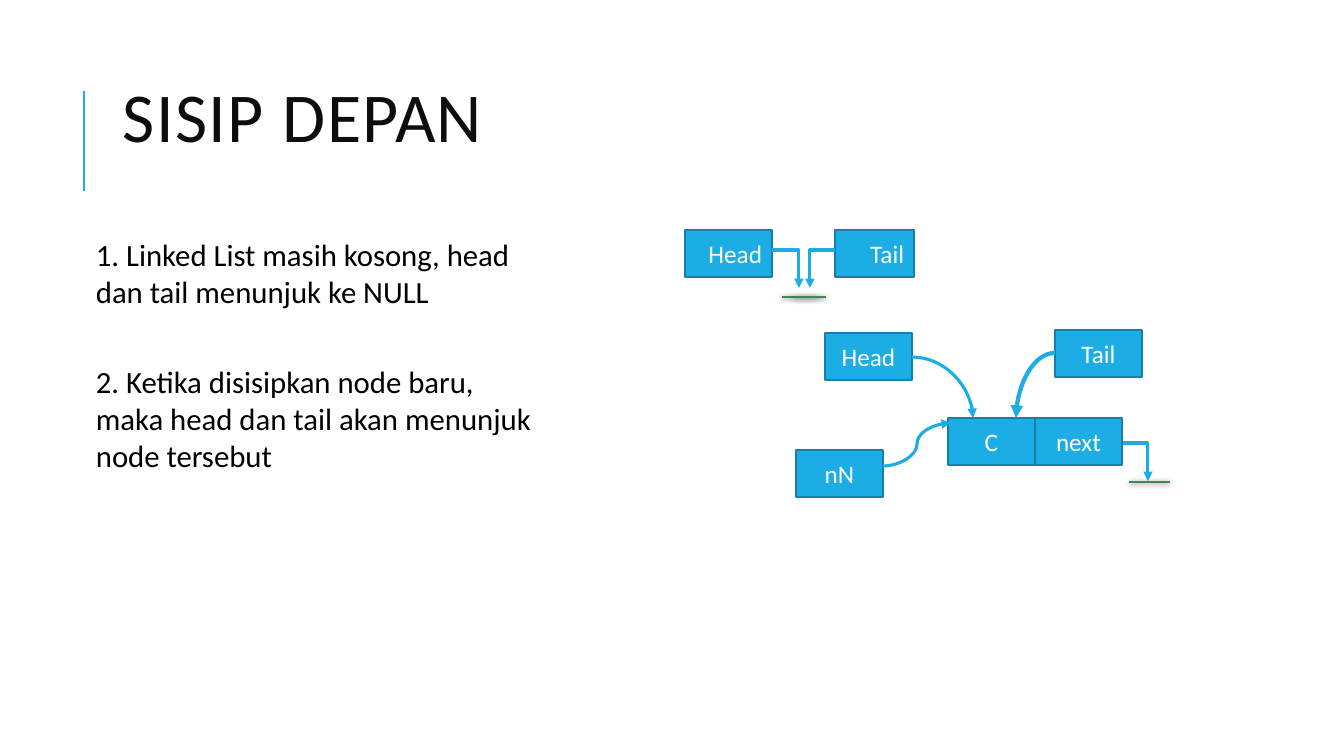
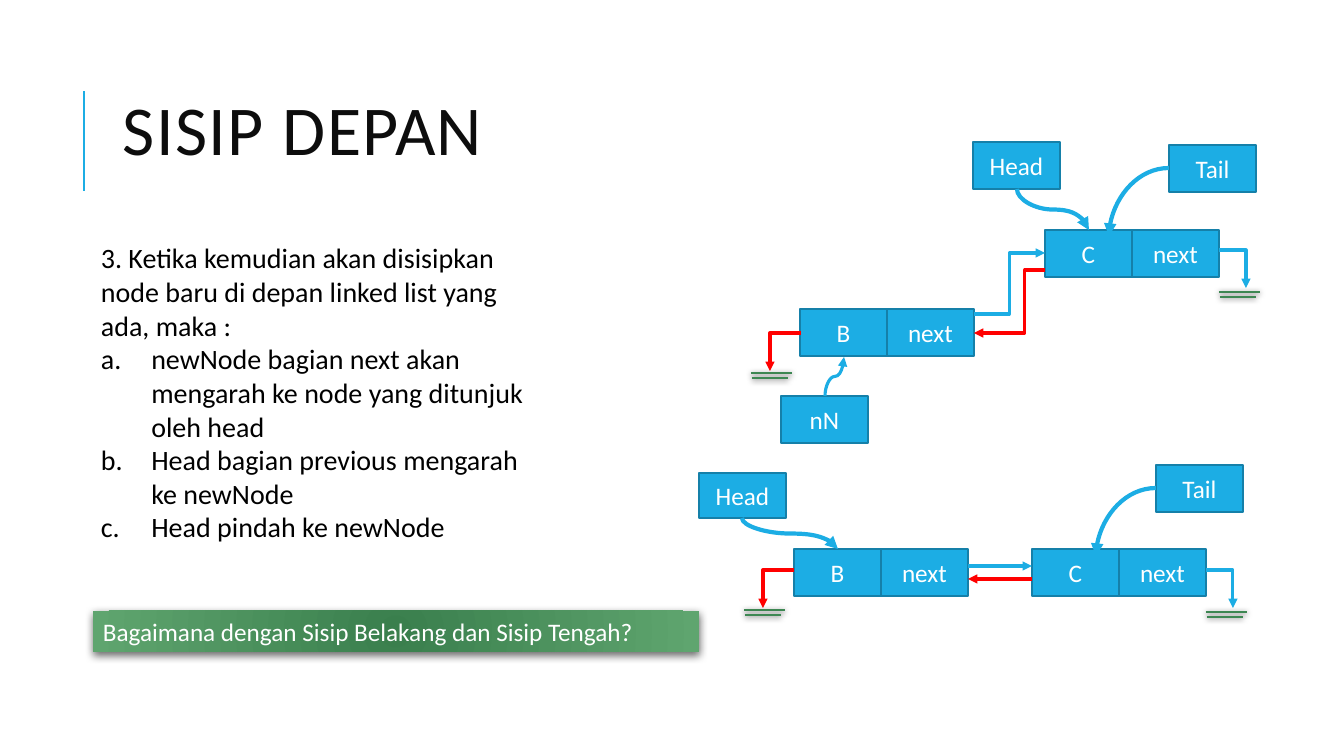
"""Build two slides that explain inserting a node at the front of a linked list."""
import lxml.etree
import pptx
import pptx.dml.color
import pptx.enum.shapes
import pptx.enum.text
import pptx.oxml.ns
import pptx.util

PIXEL = 914400 / 100.8
FONT = "Calibri"
BLUE = pptx.dml.color.RGBColor(0x1C, 0xAD, 0xE4)
EDGE = pptx.dml.color.RGBColor(0x15, 0x80, 0xA9)
RED = pptx.dml.color.RGBColor(0xFF, 0x00, 0x00)
GREEN = pptx.dml.color.RGBColor(0x3E, 0x88, 0x53)
DARK_GREEN = pptx.dml.color.RGBColor(0x3A, 0x7F, 0x4D)
LIGHT_GREEN = pptx.dml.color.RGBColor(0x5F, 0xA5, 0x6F)
INK = pptx.dml.color.RGBColor(0x0D, 0x0D, 0x0D)
BLACK = pptx.dml.color.RGBColor(0x00, 0x00, 0x00)
WHITE = pptx.dml.color.RGBColor(0xFF, 0xFF, 0xFF)
ALIGN = pptx.enum.text.PP_ALIGN
ANCHOR = pptx.enum.text.MSO_ANCHOR
RECTANGLE = pptx.enum.shapes.MSO_SHAPE.RECTANGLE
STRAIGHT = pptx.enum.shapes.MSO_CONNECTOR.STRAIGHT
NODE_WIDTH, NODE_HEIGHT = 87, 47


def px(*lengths):
    """Turn pixel lengths into EMU."""
    return [pptx.util.Emu(round(length * PIXEL)) for length in lengths]


def add_child(parent, tag, **attributes):
    """Append an XML child with the given attributes."""
    child = lxml.etree.SubElement(parent, pptx.oxml.ns.qn(tag))
    for name, value in attributes.items():
        child.set(name, str(value))
    return child


def add_shadow(effects, opacity, blur, distance):
    """Add a black shadow that falls straight down, sized in points."""
    shadow = add_child(effects, "a:outerShdw", blurRad=pptx.util.Pt(blur),
                       dist=pptx.util.Pt(distance), dir=5400000, rotWithShape=0)
    color = add_child(shadow, "a:srgbClr", val=BLACK)
    add_child(color, "a:alpha", val=opacity * 1000)


def set_font(para, size, color):
    """Set the font of one paragraph."""
    para.font.name = FONT
    para.font.size = pptx.util.Pt(size)
    para.font.color.rgb = color


def add_text(page, area, lines, size, color=BLACK):
    """Add a wrapping text box with one paragraph per line."""
    frame = page.shapes.add_textbox(*px(*area)).text_frame
    frame.word_wrap = True
    frame.text = "\n".join(lines)
    for para in frame.paragraphs:
        set_font(para, size, color)
    return frame


def add_line(page, start, end, color, width, preset="line", turned=False):
    """Add a connector; a turned one leaves its start vertically."""
    if turned:
        middle_x, middle_y = (start[0] + end[0]) / 2, (start[1] + end[1]) / 2
        start, end = [(middle_x + y - middle_y, middle_y - x + middle_x)
                      for x, y in (start, end)]
    line = page.shapes.add_connector(STRAIGHT, *px(*start, *end))
    line.line.color.rgb = color
    line.line.width = pptx.util.Pt(width)
    properties = line._element.spPr
    properties.find(pptx.oxml.ns.qn("a:prstGeom")).set("prst", preset)
    if turned:
        properties.find(pptx.oxml.ns.qn("a:xfrm")).set("rot", "5400000")
    return line, add_child(properties, "a:effectLst")


def add_arrow(page, start, end, preset="line", color=BLUE, width=2.25,
              turned=False, bend=None):
    """Add a connector with an arrowhead at its end."""
    arrow, _ = add_line(page, start, end, color, width, preset, turned)
    add_child(arrow.line._get_or_add_ln(), "a:tailEnd", type="triangle")
    if bend is not None:
        geometry = arrow._element.spPr.find(pptx.oxml.ns.qn("a:prstGeom"))
        guides = geometry.find(pptx.oxml.ns.qn("a:avLst"))
        add_child(guides, "a:gd", name="adj1", fmla=f"val {bend}")


def add_null_arrow(page, x, y, run, color=BLUE):
    """Add an elbow arrow that runs sideways and then drops to NULL."""
    add_arrow(page, (x, y), (x + run, y + 38), "bentConnector2", color)


def add_null_bar(page, left, right, y):
    """Add one shadowed bar of a NULL sign."""
    _, effects = add_line(page, (left, y), (right, y), GREEN, 1.5)
    add_shadow(effects, 50, 4, 1)


def add_null_sign(page, x, y):
    """Add the two bars of a NULL sign."""
    add_null_bar(page, x, x + 41, y)
    add_null_bar(page, x + 1, x + 37, y + 5)


def add_node(page, x, y, label, width=NODE_WIDTH, height=NODE_HEIGHT,
             align=ALIGN.CENTER):
    """Add a labelled blue box."""
    box = page.shapes.add_shape(RECTANGLE, *px(x, y, width, height))
    box.shadow.inherit = False
    box.fill.solid()
    box.fill.fore_color.rgb = BLUE
    box.line.color.rgb = EDGE
    box.line.width = pptx.util.Pt(1.25)
    box.text_frame.vertical_anchor = ANCHOR.MIDDLE
    para = box.text_frame.paragraphs[0]
    para.text = label
    para.alignment = align
    set_font(para, 18, WHITE)


def add_element(page, x, y, value):
    """Add a list element: its value and its next field."""
    add_node(page, x, y, value)
    add_node(page, x + NODE_WIDTH, y, "next")


def add_tail(page, x, y, reach, drop):
    """Add the Tail box and its curved arrow to the left."""
    add_node(page, x, y, "Tail")
    add_arrow(page, (x, y + 23), (x - reach, y + 23 + drop),
              "curvedConnector2", width=3)


def add_banner(page, area, words):
    """Add the green banner with its closing question."""
    banner = page.shapes.add_shape(RECTANGLE, *px(*area))
    banner.shadow.inherit = False
    effects = banner._element.spPr.find(pptx.oxml.ns.qn("a:effectLst"))
    add_shadow(effects, 60, 6, 2)
    banner.line.fill.background()
    banner.fill.gradient()
    for stop, color in zip(banner.fill.gradient_stops, (DARK_GREEN, LIGHT_GREEN)):
        stop.color.rgb = color
    gradient = banner._element.spPr.find(pptx.oxml.ns.qn("a:gradFill"))
    gradient.remove(gradient.find(pptx.oxml.ns.qn("a:lin")))
    circle = add_child(gradient, "a:path", path="circle")
    add_child(circle, "a:fillToRect", **dict.fromkeys("ltrb", 100000))
    banner.text_frame.vertical_anchor = ANCHOR.TOP
    para = banner.text_frame.paragraphs[0]
    para.text = words
    para.alignment = ALIGN.LEFT
    set_font(para, 18, WHITE)


def add_page(deck, title_height):
    """Add a page with the shared title and its blue rule."""
    page = deck.slides.add_slide(deck.slide_layouts[6])
    add_line(page, (84, 191), (84, 91), BLUE, 1.5)
    frame = add_text(page, (113, 65, 1072, title_height), ["SISIP DEPAN"], 50, INK)
    frame.vertical_anchor = ANCHOR.MIDDLE
    para = frame.paragraphs[0]
    para.line_spacing = 0.8
    para.runs[0].font._element.set("spc", "100")
    return page


def build_empty_list(deck):
    """Show the empty list and its first node."""
    page = add_page(deck, 115)
    add_text(page, (86, 231, 459, 85),
             ["1. Linked List masih kosong, head dan tail menunjuk ke NULL"], 22)
    add_text(page, (86, 358, 459, 122),
             ["2. Ketika disisipkan node baru, maka head dan tail akan "
              "menunjuk node tersebut"], 22)

    add_node(page, 685, 230, "Head", align=ALIGN.RIGHT)
    add_node(page, 835, 230, "Tail", width=79, align=ALIGN.RIGHT)
    add_null_arrow(page, 772, 250, 27)
    add_null_arrow(page, 835, 250, -25)
    add_null_bar(page, 782, 818, 297)
    add_null_bar(page, 793, 826, 297)

    add_null_arrow(page, 1121, 443, 27)
    add_null_bar(page, 1129, 1170, 482)
    add_node(page, 825, 333, "Head")
    add_arrow(page, (912, 357), (973, 418), "curvedConnector2")
    add_element(page, 948, 418, "C")
    add_tail(page, 1055, 330, 39, 65)
    add_node(page, 796, 450, "nN")
    add_arrow(page, (883, 466), (951, 423), "curvedConnector3")


def build_front_insert(deck):
    """Show a new node placed before the first one."""
    page = add_page(deck, 141)
    frame = add_text(page, (91, 236, 459, 350), [
        "3. Ketika kemudian akan disisipkan node baru di depan linked list "
        "yang ada, maka :",
        "newNode bagian next akan mengarah ke node yang ditunjuk oleh head",
        "Head bagian previous mengarah ke newNode",
        "Head pindah ke newNode"], 20)
    for para in frame.paragraphs[1:]:
        properties = para._p.get_or_add_pPr()
        properties.set("marL", "457200")
        properties.set("indent", "-457200")
        numbering = add_child(properties, "a:buAutoNum", type="alphaLcPeriod")
        properties.insert(0, numbering)

    add_element(page, 800, 309, "B")
    add_element(page, 1045, 230, "C")
    add_node(page, 973, 142, "Head")
    add_arrow(page, (1017, 189), (1089, 230), "curvedConnector3", width=3, turned=True)
    add_tail(page, 1169, 145, 60, 68)
    add_node(page, 781, 396, "nN")
    add_arrow(page, (825, 396), (844, 357), "curvedConnector3", turned=True)
    add_arrow(page, (974, 314), (1045, 253), "bentConnector3", bend=50000)
    add_arrow(page, (1045, 270), (974, 333), "bentConnector3", RED, bend=28400)

    add_element(page, 794, 549, "B")
    add_element(page, 1032, 549, "C")
    add_node(page, 699, 473, "Head", height=45)
    add_arrow(page, (742, 518), (838, 549), "curvedConnector3", width=3, turned=True)
    add_tail(page, 1156, 465, 60, 68)
    add_arrow(page, (968, 566), (1032, 566))
    add_arrow(page, (1032, 579), (968, 579), color=RED)

    for x, y in ((1219, 250), (1206, 570)):
        add_null_arrow(page, x, y, 27)
        add_null_sign(page, x, y + 42)
    for x, y in ((801, 333), (794, 570)):
        add_null_arrow(page, x, y, -31, RED)
        add_null_sign(page, x - 50, y + 40)

    add_banner(page, (93, 611, 606, 41),
               "Bagaimana dengan Sisip Belakang dan Sisip Tengah?")


def main():
    """Build and save the deck."""
    deck = pptx.Presentation()
    deck.slide_width, deck.slide_height = px(1344, 756)
    build_empty_list(deck)
    build_front_insert(deck)
    deck.save("out.pptx")


if __name__ == "__main__":
    main()
